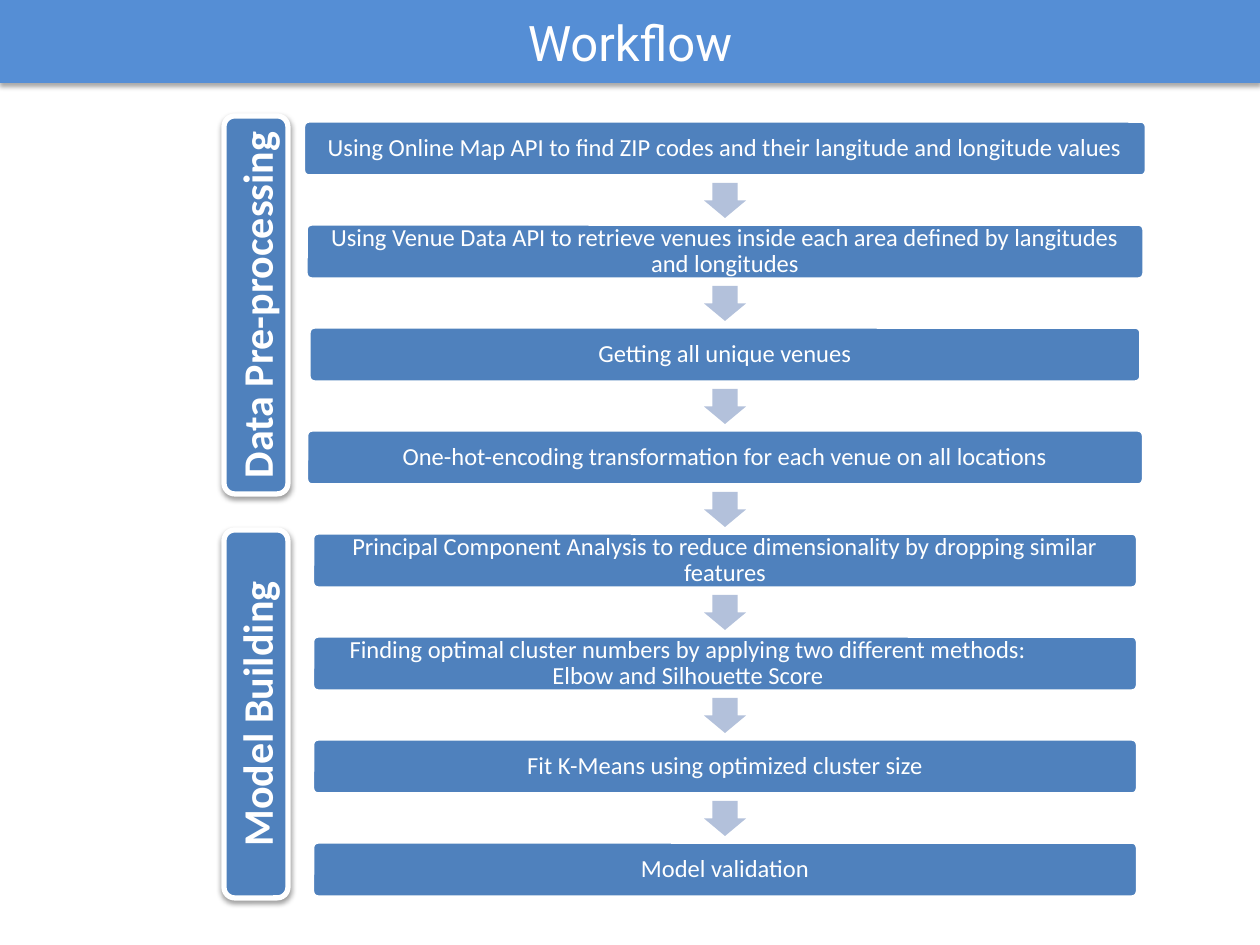
from lxml.etree import SubElement
from pptx import Presentation
from pptx.dml.color import RGBColor
from pptx.enum.shapes import MSO_SHAPE
from pptx.enum.text import MSO_ANCHOR, PP_ALIGN
from pptx.oxml.ns import qn
from pptx.util import Emu, Pt

PX_PER_INCH = 126


def px(length):
    return Emu(round(length * 914400 / PX_PER_INCH))


def color(code):
    return RGBColor.from_string(code)


def apply(target, values):
    for name, value in values.items():
        setattr(target, name, value)


class WorkflowSlide:
    WHITE, BLUE, TITLE_BLUE, ARROW_BLUE = "FFFFFF", "4F81BD", "558ED5", "B3C1DB"
    CENTER = 725
    STEP_HEIGHT, ARROW_GAP = 55, 62
    ARROW_WIDTH, ARROW_HEIGHT = 42, 35

    def __init__(self, slide):
        self.slide = slide

    def shape(self, kind, left, top, width, height, fill, line=0, adjust=()):
        box = self.slide.shapes.add_shape(
            kind, px(left), px(top), px(width), px(height))
        box.shadow.inherit = False
        box.fill.solid()
        box.fill.fore_color.rgb = color(fill)
        if line:
            box.line.color.rgb = color(self.WHITE)
            box.line.width = Pt(line)
        else:
            box.line.fill.background()
        for index, value in enumerate(adjust):
            box.adjustments[index] = value
        return box

    def text(self, box, lines, font, frame=None, spacing=None):
        apply(box.text_frame, {"word_wrap": True,
                               "vertical_anchor": MSO_ANCHOR.MIDDLE,
                               **(frame or {})})
        for index, line in enumerate(lines):
            para = (box.text_frame.add_paragraph() if index
                    else box.text_frame.paragraphs[0])
            apply(para, {"alignment": PP_ALIGN.CENTER, "line_spacing": spacing})
            span = para.add_run()
            span.text = line
            apply(span.font, {"name": "Calibri", **font})
            span.font.color.rgb = color(self.WHITE)

    def drop_shadow(self, box, opacity, distance):
        effects = box._element.spPr.find(qn("a:effectLst"))
        shadow = SubElement(effects, qn("a:outerShdw"), blurRad=str(Pt(3.1)),
                            dist=str(Pt(distance)), dir="5400000",
                            algn="t", rotWithShape="0")
        black = SubElement(shadow, qn("a:srgbClr"), val="000000")
        SubElement(black, qn("a:alpha"), val=str(opacity * 1000))

    def title(self, words):
        bar = self.shape(MSO_SHAPE.RECTANGLE, 0, 0, 1260, 83, self.TITLE_BLUE)
        self.drop_shadow(bar, 35, 1.8)
        self.text(bar, [words], {"name": "Roboto", "size": Pt(28)})

    def step(self, top, width, lines):
        box = self.shape(MSO_SHAPE.ROUNDED_RECTANGLE, self.CENTER - width / 2, top,
                         width, self.STEP_HEIGHT, self.BLUE, 2, [0.1])
        sides = ("left", "right", "top", "bottom")
        margins = {f"margin_{side}": px(9) for side in sides}
        self.text(box, lines, {"size": Pt(14)}, margins, 0.9)
        return box

    def arrow(self, step_top):
        self.shape(MSO_SHAPE.DOWN_ARROW, self.CENTER - self.ARROW_WIDTH / 2,
                   step_top + self.ARROW_GAP, self.ARROW_WIDTH,
                   self.ARROW_HEIGHT, self.ARROW_BLUE, adjust=[0.6, 0.5])

    def phase(self, top, height, words):
        box = self.shape(MSO_SHAPE.ROUNDED_RECTANGLE, 224, top, 64, height,
                         self.BLUE, 3)
        self.drop_shadow(box, 38, 1.6)
        self.text(box, [words], {"size": Pt(24), "bold": True})
        box.text_frame._txBody.bodyPr.set("vert", "vert270")


STEPS = [
    (843, ["Using Online Map API to find ZIP codes and their langitude and longitude values"]),
    (838, ["Using Venue Data API to retrieve venues inside each area defined by langitudes and longitudes"]),
    (832, ["Getting all unique venues"]),
    (837, ["One-hot-encoding transformation for each venue on all locations"]),
    (825, ["Principal Component Analysis to reduce dimensionality by dropping similar features"]),
    (825, ["Finding optimal cluster numbers by applying two different methods:",
           "Elbow and Silhouette Score"]),
    (825, ["Fit K-Means using optimized cluster size"]),
    (825, ["Model validation"]),
]
FIRST_TOP, PITCH = 121, 103
METHODS_STEP, METHODS_INDENT = 5, 74


def main():
    deck = Presentation()
    apply(deck, {"slide_width": px(1260), "slide_height": px(945)})
    page = WorkflowSlide(deck.slides.add_slide(deck.slide_layouts[6]))

    # Title bar
    page.title("Workflow")

    # Steps joined by arrows
    for index, (width, lines) in enumerate(STEPS):
        top = FIRST_TOP + index * PITCH
        box = page.step(top, width, lines)
        if index == METHODS_STEP:
            # The first line sits left of centre
            para = box.text_frame.paragraphs[0]
            para._p.get_or_add_pPr().set("marR", str(px(METHODS_INDENT)))
        if index < len(STEPS) - 1:
            page.arrow(top)

    # Phase labels
    page.phase(530, 368, "Model Building")
    page.phase(116, 378, "Data Pre-processing")

    deck.save("out.pptx")


if __name__ == "__main__":
    main()
